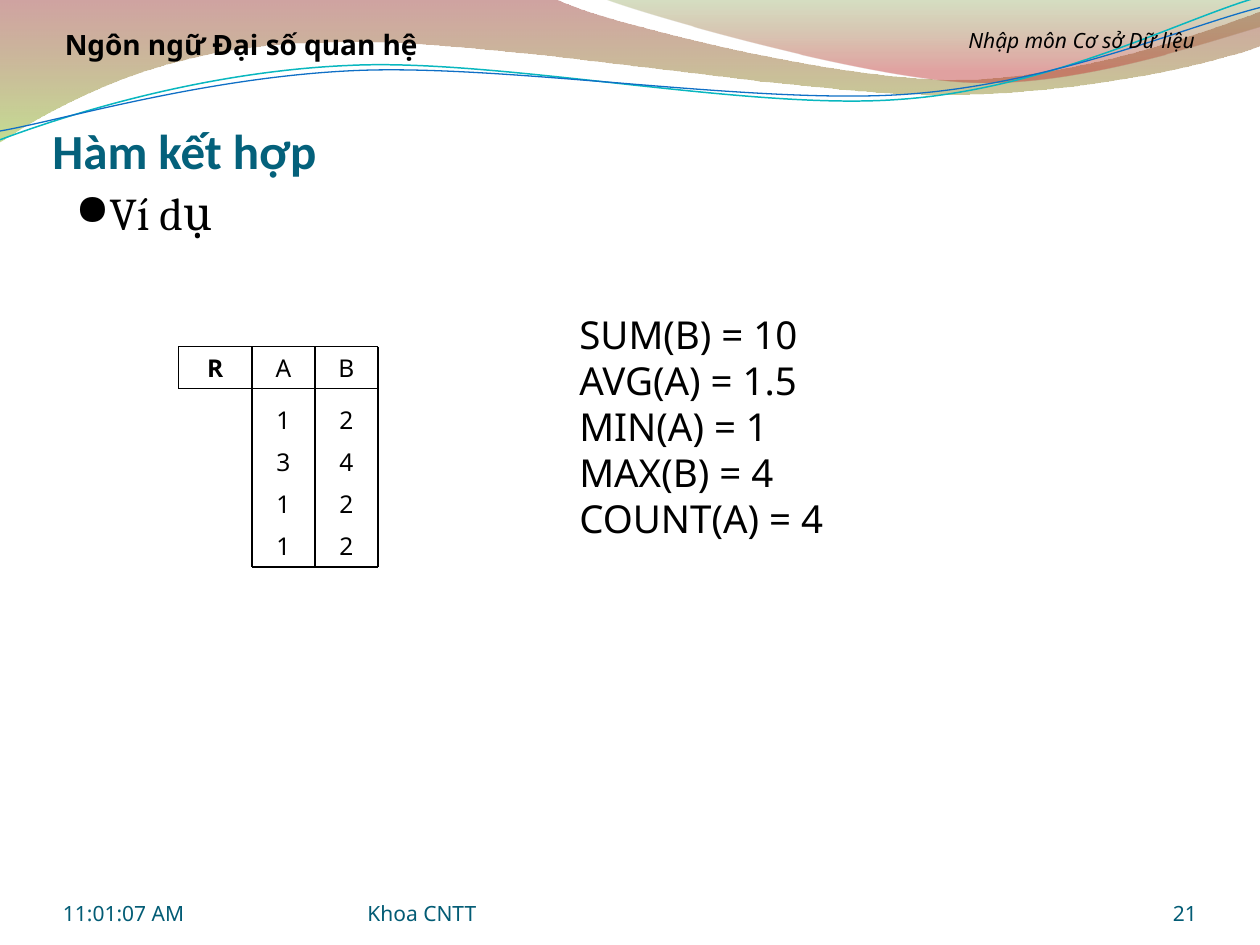
"""Build the slide on aggregate functions in relational algebra."""
from lxml import etree
from pptx import Presentation
from pptx.dml.color import RGBColor
from pptx.enum.shapes import MSO_CONNECTOR
from pptx.enum.text import MSO_ANCHOR, MSO_AUTO_SIZE, PP_ALIGN
from pptx.oxml.ns import qn
from pptx.util import Inches, Pt

LEFT, CENTER, RIGHT = PP_ALIGN.LEFT, PP_ALIGN.CENTER, PP_ALIGN.RIGHT
TOP, BOTTOM = MSO_ANCHOR.TOP, MSO_ANCHOR.BOTTOM
STRAIGHT, NO_AUTOSIZE = MSO_CONNECTOR.STRAIGHT, MSO_AUTO_SIZE.NONE
INSET, NO_INSET = (0.1, 0.05, 0.1, 0.05), (0, 0, 0, 0)

TITLE = "Hàm kết hợp"
EXAMPLE = "Ví dụ"
CHAPTER = "Ngôn ngữ Đại số quan hệ"
COURSE = "Nhập môn Cơ sở Dữ liệu"
RESULTS = ["SUM(B) = 10", "AVG(A) = 1.5", "MIN(A) = 1", "MAX(B) = 4", "COUNT(A) = 4"]
FOOTER = [
    ("11:01:07 AM", (0.5, 6.95, 2.33, 0.4), LEFT),
    ("Khoa CNTT", (35 / 12, 6.95, 3.66, 0.4), LEFT),
    ("21", (8.67, 6.95, 0.83, 0.4), RIGHT),
]

RELATION = "R"
ATTRIBUTES = ["A", "B"]
TUPLES = [(1, 2), (3, 4), (1, 2), (1, 2)]
NAME_X, GRID_X, COLUMN_W = 17 / 12, 2, 0.5
HEAD_Y, ROW_H = 2.75, 1 / 3
BODY_Y = HEAD_Y + 1.25 * ROW_H

BANDS = [
    {"outline": [(0, -0.01), [(4.4, -0.01)],
                 [(4.76, 0.17), (6.63, 0.63), (7.58, 0.63)],
                 [(8.53, 0.63), (9.58, 0.25), (10, 0.09)], [(10.01, 0.36)],
                 [(9.83, 0.44), (8.7, 0.75), (7.46, 0.75)],
                 [(6.22, 0.75), (3.82, 0.28), (2.57, 0.34)],
                 [(1.29, 0.35), (0.46, 0.83), (-0.01, 1.13)]],
     "stops": [(0, "973330", 45), (1, "95C238", 55)]},
    {"outline": [(4.79, -0.01), [(5.09, 0.11), (6.82, 0.61), (7.69, 0.65)],
                 [(8.55, 0.69), (9.61, 0.32), (10, 0.21)], [(10, 0)]],
     "stops": [(0, "769537", 30), (0.8, "BE3330", 45)]},
    {"outline": [(0, 1.11), [(0.48, 0.93), (1.58, 0.57), (2.77, 0.52)],
                 [(3.95, 0.46), (5.93, 0.88), (7.13, 0.79)],
                 [(8.33, 0.71), (9.38, 0.15), (9.98, -0.02)]],
     "line": ("09B7BF", 0.85)},
    {"outline": [(0, 1.04), [(0.47, 0.96), (1.64, 0.61), (2.83, 0.56)],
                 [(4.03, 0.51), (5.97, 0.83), (7.17, 0.75)],
                 [(8.36, 0.67), (9.41, 0.21), (10, 0.06)]],
     "line": ("0F6FC6", 0.74)},
]


def rgb(value):
    return RGBColor.from_string(value)


def put_text(text, box, holder=None, size=14, font="Noto Sans", color="000000", bold=False,
             italic=False, align=LEFT, anchor=TOP, inset=INSET):
    box = [Inches(length) for length in box]
    holder = holder or slide.shapes.add_textbox(*box)
    holder.left, holder.top, holder.width, holder.height = box
    frame = holder.text_frame
    frame.text = text
    frame.word_wrap, frame.auto_size, frame.vertical_anchor = True, NO_AUTOSIZE, anchor
    frame.margin_left, frame.margin_top, frame.margin_right, frame.margin_bottom = map(Inches, inset)
    for paragraph in frame.paragraphs:
        paragraph.alignment = align
        for run in paragraph.runs:
            run.font.size, run.font.name = Pt(size), font
            run.font.bold, run.font.italic = bold, italic
            run.font.color.rgb = rgb(color)
    return frame


def add_bullet(paragraph, char, percent, indent):
    props = paragraph._p.get_or_add_pPr()
    props.set("marL", str(Inches(indent)))
    props.set("indent", str(-Inches(indent)))
    etree.SubElement(props, qn("a:buSzPct"), val=str(percent * 1000))
    etree.SubElement(props, qn("a:buFont"), typeface="OpenSymbol")
    etree.SubElement(props, qn("a:buChar"), char=char)


def add_rule(x1, y1, x2, y2):
    rule = slide.shapes.add_connector(STRAIGHT, *map(Inches, (x1, y1, x2, y2)))
    rule.line.color.rgb = rgb("000000")
    rule.line.width = Pt(0.99)
    etree.SubElement(rule._element.spPr, qn("a:effectLst"))


def bend(band, segments):
    corners = list(band._element.spPr.iter(qn("a:lnTo")))
    for segment in segments:
        group, corners = corners[:len(segment)], corners[len(segment):]
        if len(segment) == 3:
            curve = etree.Element(qn("a:cubicBezTo"))
            group[0].addprevious(curve)
            for corner in group:
                curve.append(corner[0])
                corner.getparent().remove(corner)


def add_band(outline, stops=None, line=None):
    (start_x, start_y), *segments = outline
    builder = slide.shapes.build_freeform(Inches(start_x), Inches(start_y))
    builder.add_line_segments([(Inches(x), Inches(y)) for segment in segments for x, y in segment],
                              close=bool(stops))
    band = builder.convert_to_shape()
    bend(band, segments)
    band.shadow.inherit = False
    if line:
        band.fill.background()
        band.line.color.rgb, band.line.width = rgb(line[0]), Pt(line[1])
        return band
    band.line.fill.background()
    band.fill.gradient()
    band.fill.gradient_angle = 270
    for stop, (position, color, _) in zip(band.fill.gradient_stops, stops):
        stop.position, stop.color.rgb = position, rgb(color)
    for tint, (_, _, opacity) in zip(band._element.spPr.iter(qn("a:srgbClr")), stops):
        etree.SubElement(tint, qn("a:alpha"), val=str(opacity * 1000))
    return band


deck = Presentation()
deck.slide_width, deck.slide_height = Inches(10), Inches(7.5)
slide = deck.slides.add_slide(deck.slide_layouts[5])

for depth, band_format in enumerate(BANDS):
    slide.shapes._spTree.insert(2 + depth, add_band(**band_format)._element)

put_text(TITLE, (5 / 12, 0.74, 9.33, 0.68), slide.shapes.title, size=28, font="Calibri",
         color="04617B", bold=True, anchor=BOTTOM, inset=(0, 0.05, 0, 0))
example = put_text(EXAMPLE, (0.5, 1.42, 9, 5.29), size=26, font="Cambria")
add_bullet(example.paragraphs[0], "●", 95, 0.23)

put_text(RELATION, (NAME_X, HEAD_Y, GRID_X - NAME_X, ROW_H), bold=True, align=CENTER)
row_tops = [HEAD_Y] + [BODY_Y + i * ROW_H for i in range(len(TUPLES))]
for row_top, values in zip(row_tops, [ATTRIBUTES, *TUPLES]):
    for column, value in enumerate(values):
        put_text(str(value), (GRID_X + column * COLUMN_W, row_top, COLUMN_W, ROW_H), align=CENTER)

grid_right = GRID_X + len(ATTRIBUTES) * COLUMN_W
grid_bottom = BODY_Y + len(TUPLES) * ROW_H
head_bottom = HEAD_Y + ROW_H
for x, y in [(NAME_X, HEAD_Y), (NAME_X, head_bottom), (GRID_X, grid_bottom)]:
    add_rule(x, y, grid_right, y)
add_rule(NAME_X, HEAD_Y, NAME_X, head_bottom)
for column in range(len(ATTRIBUTES) + 1):
    x = GRID_X + column * COLUMN_W
    add_rule(x, HEAD_Y, x, grid_bottom)

put_text("\n".join(RESULTS), (4.5, 29 / 12, 2.33, 2.54), size=22)
for label, box, align in FOOTER:
    put_text(label, box, size=12, color="035C75", align=align, anchor=BOTTOM, inset=NO_INSET)
put_text(COURSE, (7.17, 0.17, 2.83, 0.3), size=12, italic=True, align=CENTER)
put_text(CHAPTER, (0.25, 0.17, 3.33, 0.36), size=16, bold=True, align=CENTER)

deck.save("out.pptx")
